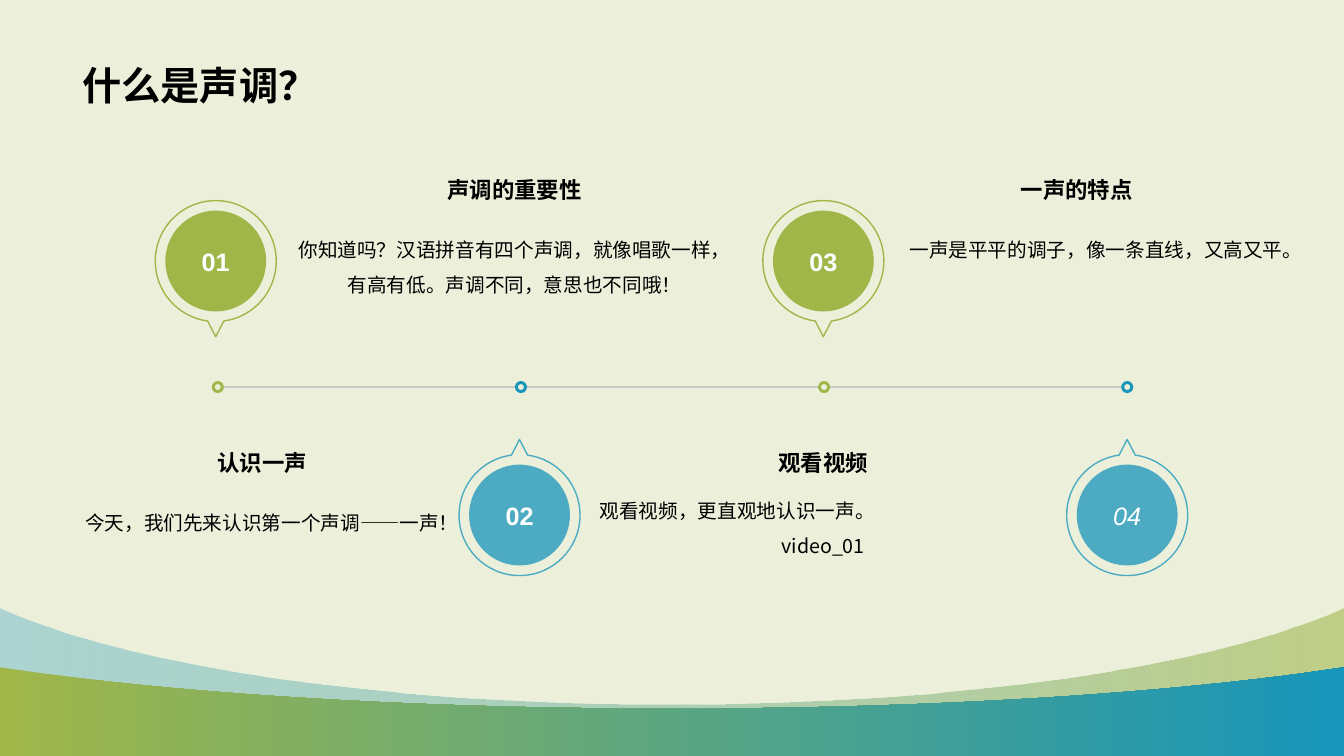
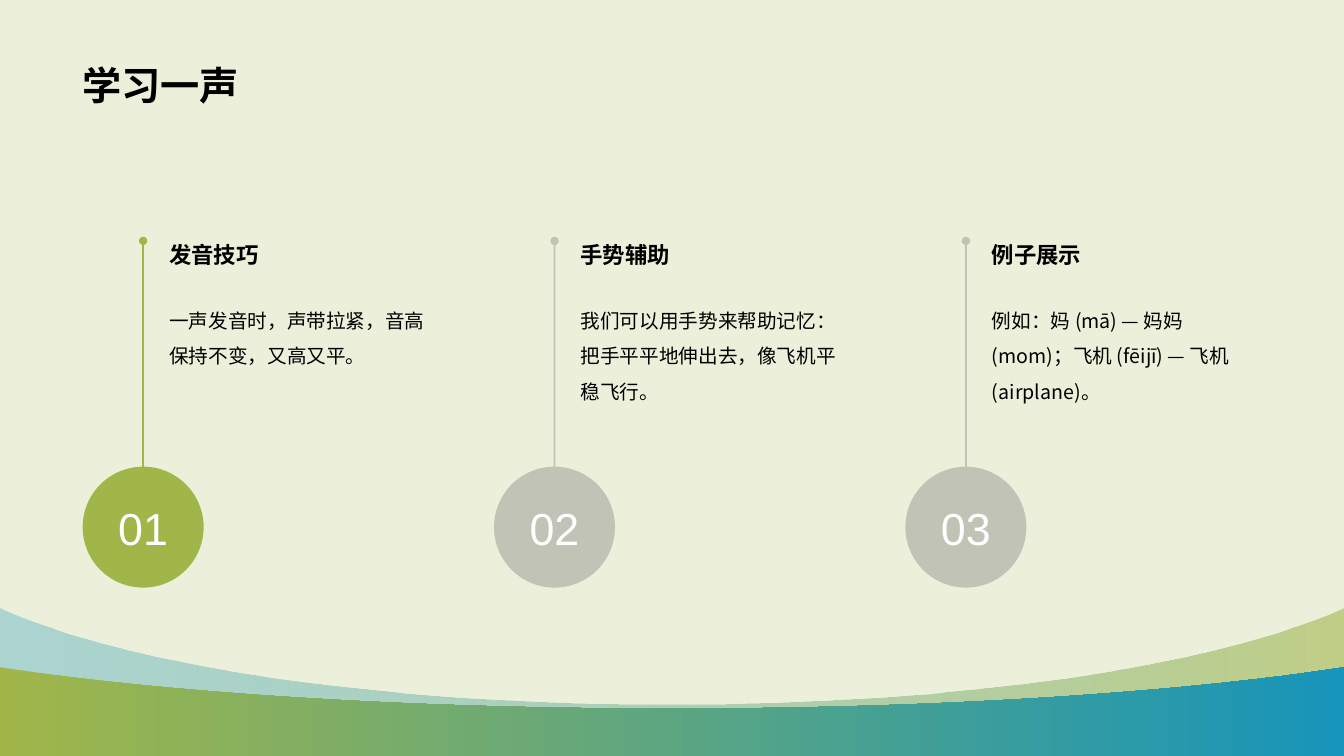
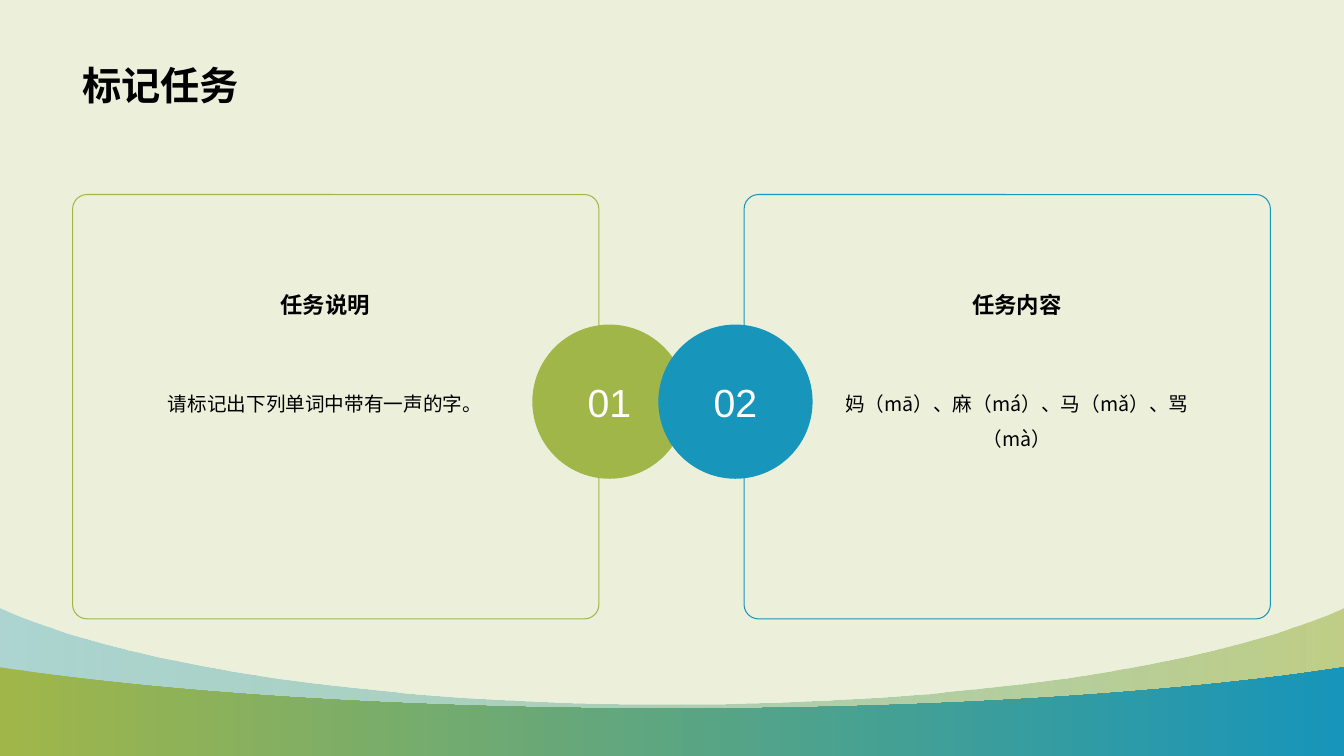
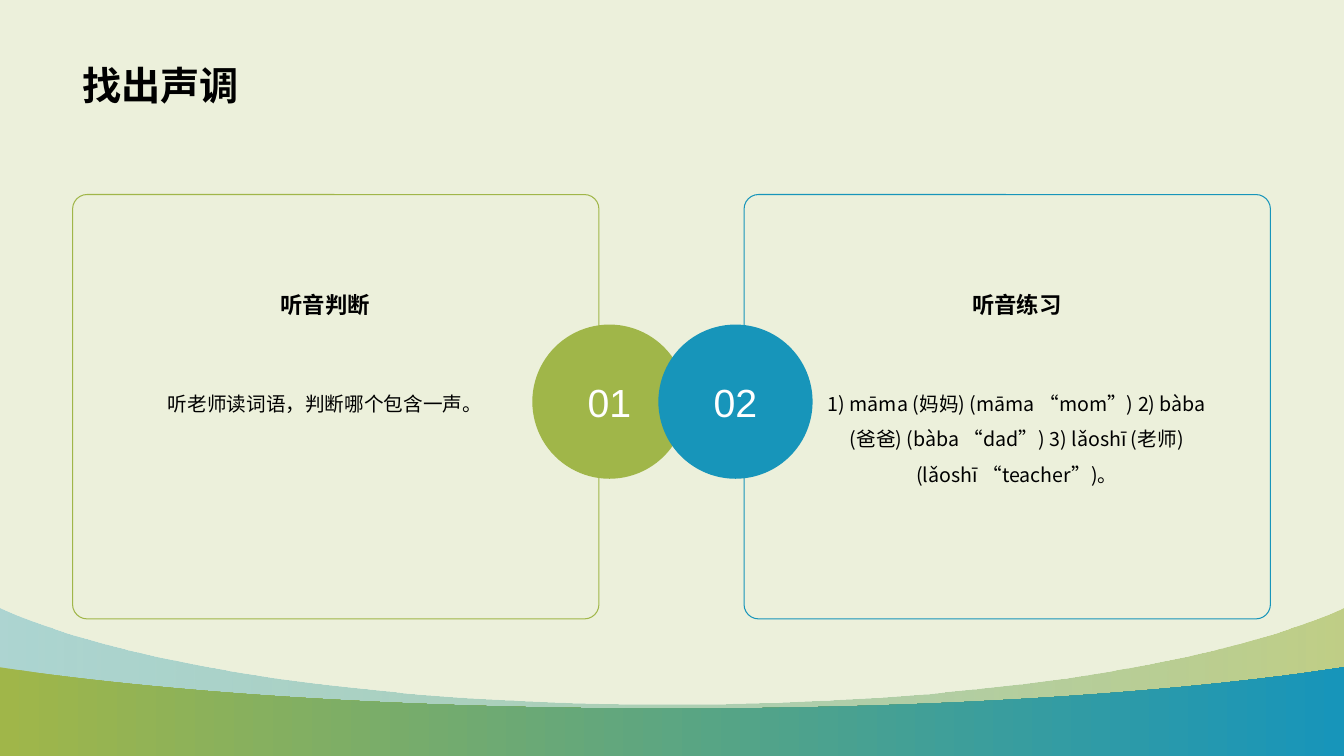
from math import asin, cos, pi, sin, tan

from lxml import etree
from pptx import Presentation, util as u
from pptx.dml.color import RGBColor
from pptx.enum import shapes, text
from pptx.oxml.ns import qn

WIDE, HIGH = 13.33, 7.5
GREEN, BLUE, GREY, SLATE = "A0B649", "1795BA", "808080", "778495"
WHITE, BLACK, CREAM = "FFFFFF", "000000", "ECF0DB"
HAN, LATIN = "Noto Sans CJK SC", "Arial"
KIND = shapes.MSO_SHAPE
MID, LEFT = text.PP_ALIGN.CENTER, text.PP_ALIGN.LEFT
TOP, LOW, CORE = text.MSO_ANCHOR.TOP, text.MSO_ANCHOR.BOTTOM, text.MSO_ANCHOR.MIDDLE
GROW = text.MSO_AUTO_SIZE.SHAPE_TO_FIT_TEXT
STYLE = {
    "title": {"size": u.Pt(28), "bold": True, "name": HAN},
    "head": {"size": u.Pt(16), "bold": True, "name": HAN},
    "body": {"size": u.Pt(14), "name": HAN},
    "count": {"size": u.Pt(32), "name": LATIN},
}


def hue(code):
    return RGBColor.from_string(code)


def inch(*nums):
    return [u.Inches(n) for n in nums]


def fade(shape, *parts):
    for tint, part in zip(shape.element.spPr.iter(qn("a:srgbClr")), parts):
        if part < 100:
            etree.SubElement(tint, qn("a:alpha"), val=str(part * 1000))


def paint(shape, fill=None, line=None, width=1):
    shape.shadow.inherit = False
    if fill:
        shape.fill.solid()
        shape.fill.fore_color.rgb = hue(fill)
    else:
        shape.fill.background()
    if line:
        shape.line.color.rgb = hue(line)
        shape.line.width = u.Pt(width)
    else:
        shape.line.fill.background()
    return shape


def form(slide, kind, box, fill=None, line=None, width=1):
    return paint(slide.shapes.add_shape(kind, *inch(*box)), fill, line, width)


def outline(slide, start, moves, line=None):
    pen = slide.shapes.build_freeform(*inch(*start), scale=1.0)
    pen.add_line_segments([inch(*dot) for move in moves for dot in move], close=True)
    shape = pen.convert_to_shape()
    steps = iter(list(shape.element.iter(qn("a:lnTo"))))
    for move in moves:
        first = next(steps)
        if len(move) == 3:
            bend = etree.Element(qn("a:cubicBezTo"))
            first.addprevious(bend)
            for step in (first, next(steps), next(steps)):
                bend.append(step[0])
                step.getparent().remove(step)
    return paint(shape, line=line)


def write(shape, words, font, color=BLACK, align=MID, anchor=TOP, space=1.0, grow=False):
    frame = shape.text_frame
    frame.word_wrap = True
    frame.vertical_anchor = anchor
    if grow:
        frame.auto_size = GROW
    for i, line in enumerate(words.split("\n")):
        para = frame.paragraphs[0] if i == 0 else frame.add_paragraph()
        para.alignment, para.line_spacing = align, space
        run = para.add_run()
        run.text = line
        run.font.color.rgb = hue(color)
        for key, value in font.items():
            setattr(run.font, key, value)
    for mark in shape.element.iter(qn("a:rPr")):
        mark.set("lang", "zh-CN")
        etree.SubElement(mark, qn("a:ea"), typeface=font["name"])
    return frame


def label(slide, box, words, style, grow=True, **look):
    area = slide.shapes.add_textbox(*inch(*box))
    return write(area, words, STYLE[style], grow=grow, **look)


def disc(slide, box, num, fill, size, **extra):
    shape = form(slide, KIND.OVAL, box, fill)
    font = {"size": u.Pt(size), "name": LATIN, **extra}
    write(shape, num, font, WHITE, anchor=CORE)
    return shape


def rule(slide, ends, color, width, part=100, tail=None):
    line = slide.shapes.add_connector(shapes.MSO_CONNECTOR.STRAIGHT, *inch(*ends))
    line.line.color.rgb = hue(color)
    line.line.width = u.Pt(width)
    fade(line, part)
    if tail:
        ln = line.element.spPr.find(qn("a:ln"))
        etree.SubElement(ln, qn("a:tailEnd"), type=tail)
    etree.SubElement(line.element.spPr, qn("a:effectLst"))


def wave(slide, edge, knots, angle, parts):
    flip = [(WIDE - x, y) for x, y in reversed(knots)]
    shape = outline(slide, (0, edge), [
        knots[:1], knots[1:], flip[1:],
        [(WIDE, edge)], [(WIDE, HIGH)], [(0, HIGH)],
    ])
    shape.fill.gradient()
    shape.fill.gradient_angle = angle
    for stop, code in zip(shape.fill.gradient_stops, (GREEN, BLUE)):
        stop.color.rgb = hue(code)
    fade(shape, *parts)
    return shape


def bands(deck, slide):
    half = WIDE / 2
    tree = deck.slide_master.element.cSld.spTree
    for shape in (
        wave(slide, 6.03, [(0.04, 6.05), (1.31, 6.61), (3.8, 6.99), (half, 6.99)], 180, (58, 30)),
        wave(slide, 6.62, [(0.41, 6.68), (2.06, 6.9), (4.25, 7.03), (half, 7.03)], 0, (100, 100)),
    ):
        tree.append(shape.element)


def page(deck, title):
    slide = deck.slides.add_slide(deck.slide_layouts[6])
    if len(deck.slides) == 1:
        bands(deck, slide)
    label(slide, (0.72, 0.14, 11.88, 0.98), title, "title", grow=False, align=LEFT, anchor=LOW)
    return slide


def drop(slide, x, y, way, color):
    ring, gap = 0.6, asin(0.08 / 0.6)

    def spot(a):
        return x + ring * sin(a), y + way * ring * cos(a)

    def arc(a, b):
        k = 4 / 3 * tan((b - a) / 4) * ring
        (p, q), (r, s) = spot(a), spot(b)
        return [(p + k * cos(a), q - way * k * sin(a)),
                (r - k * cos(b), s + way * k * sin(b)), (r, s)]

    turns = [gap, pi / 2, pi, 3 * pi / 2, 2 * pi - gap]
    moves = [[spot(gap)]] + [arc(a, b) for a, b in zip(turns, turns[1:])]
    return outline(slide, (x, y + way * 0.75), moves, color)


def pin(slide, x, y, num, color, way, part, **extra):
    fade(drop(slide, x, y, way, color), part)
    ball = disc(slide, (x - 0.5, y - 0.5, 1, 1), num, color, 18, **extra)
    fade(ball, part)


def note(slide, box, head, body, span=None):
    x, y, w = box
    label(slide, (x, y, w, 0.37), head, "head", anchor=LOW)
    return label(slide, (x, y + 0.5, span or w, 0.41), body, "body", space=1.5)


def spread(first, last, count):
    return [first + (last - first) * i / (count - 1) for i in range(count)]


def line_slide(deck, title, notes):
    slide = page(deck, title)
    y, dot = 3.84, 0.06
    spots = spread(2.16, 11.18, 4)
    for a, b in zip(spots, spots[1:]):
        rule(slide, (a + dot, y, b - dot, y), SLATE, 1, 50)
    for i, (x, hub) in enumerate(zip(spots, spread(2.14, 11.18, 4))):
        even = i % 2 == 0
        color = GREEN if even else BLUE
        form(slide, KIND.DONUT, (x - dot, y - dot, 2 * dot, 2 * dot), color)
        extra = {"italic": True} if i == 3 else {"bold": True}
        pin(slide, hub, 2.59 if even else 5.11, f"0{i + 1}", color,
            1 if even else -1, 100 if even else 75, **extra)
    frames = [note(slide, *item) for item in notes]
    lead = frames[2].paragraphs[0]
    lead.alignment, lead.line_spacing = LEFT, 1.0


def stem(slide, box, num, head, body, color, part):
    x, y, w, h = box
    size = 1.2
    base = y + h - size
    fade(form(slide, KIND.OVAL, (x, base, size, size), color), part)
    label(slide, (x + 0.15, base + 0.28, 0.9, 0.64), num, "count", color=WHITE, anchor=CORE)
    mid = x + size / 2
    rule(slide, (mid, base, mid, y + 0.05), color, 1.25, part, "oval")
    left, wide = x + 0.76, w - 0.76
    label(slide, (left, y, wide, 0.37), head, "head", align=LEFT)
    label(slide, (left, y + 0.56, wide, 1.47), body, "body", grow=False, align=LEFT, space=1.5)


def stem_slide(deck, title, items):
    slide = page(deck, title)
    for i, (head, body) in enumerate(items):
        color, part = (GREY, 40) if i else (GREEN, 100)
        stem(slide, (0.82 + 4.08 * i, 2.34, 3.61, 3.49), f"0{i + 1}", head, body, color, part)


def pair_slide(deck, title, items):
    slide = page(deck, title)
    colors = (GREEN, BLUE)
    for i, color in enumerate(colors):
        card = form(slide, KIND.ROUNDED_RECTANGLE, (0.72 + 6.66 * i, 1.93, 5.22, 4.21),
                    line=color, width=0.75)
        card.adjustments[0] = 0.034
    for i, color in enumerate(colors):
        disc(slide, (5.28 + 1.25 * i, 3.22, 1.53, 1.53), f"0{i + 1}", color, 28)
    for (x, w), (head, body) in zip(((0.87, 4.71), (7.71, 4.75)), items):
        for y, h, words, style, anchor, space in (
            (2.76, 0.52, head, "head", LOW, 1.0),
            (3.42, 2.07, body, "body", TOP, 1.5),
        ):
            area = form(slide, KIND.ROUNDED_RECTANGLE, (x, y, w, h))
            area.adjustments[0] = 0.5
            write(area, words, STYLE[style], anchor=anchor, space=space)


def main():
    deck = Presentation()
    deck.slide_width, deck.slide_height = inch(WIDE, HIGH)
    back = deck.slide_master.background.fill
    back.solid()
    back.fore_color.rgb = hue(CREAM)
    line_slide(deck, "什么是声调？", [
        ((2.79, 1.69, 4.63), "声调的重要性",
         "你知道吗？汉语拼音有四个声调，就像唱歌一样，有高有低。声调不同，意思也不同哦！"),
        ((0.73, 4.4, 3.74), "认识一声", "今天，我们先来认识第一个声调——一声！"),
        ((5.85, 4.4, 4.63), "观看视频", "观看视频，更直观地认识一声。\nvideo_01"),
        ((8.82, 1.69, 3.72), "一声的特点", "一声是平平的调子，像一条直线，又高又平。", 4.3),
    ])
    stem_slide(deck, "学习一声", [
        ("发音技巧", "一声发音时，声带拉紧，音高保持不变，又高又平。"),
        ("手势辅助", "我们可以用手势来帮助记忆：把手平平地伸出去，像飞机平稳飞行。"),
        ("例子展示", "例如：妈 (mā) — 妈妈 (mom)；飞机 (fēijī) — 飞机 (airplane)。"),
    ])
    pair_slide(deck, "标记任务", [
        ("任务说明", "请标记出下列单词中带有一声的字。"),
        ("任务内容", "妈（mā）、麻（má）、马（mǎ）、骂（mà）"),
    ])
    pair_slide(deck, "找出声调", [
        ("听音判断", "听老师读词语，判断哪个包含一声。"),
        ("听音练习", "1) māma (妈妈) (māma “mom”) 2) bàba (爸爸) (bàba “dad”) 3) lǎoshī (老师) (lǎoshī “teacher”)。"),
    ])
    deck.save("out.pptx")


if __name__ == "__main__":
    main()
